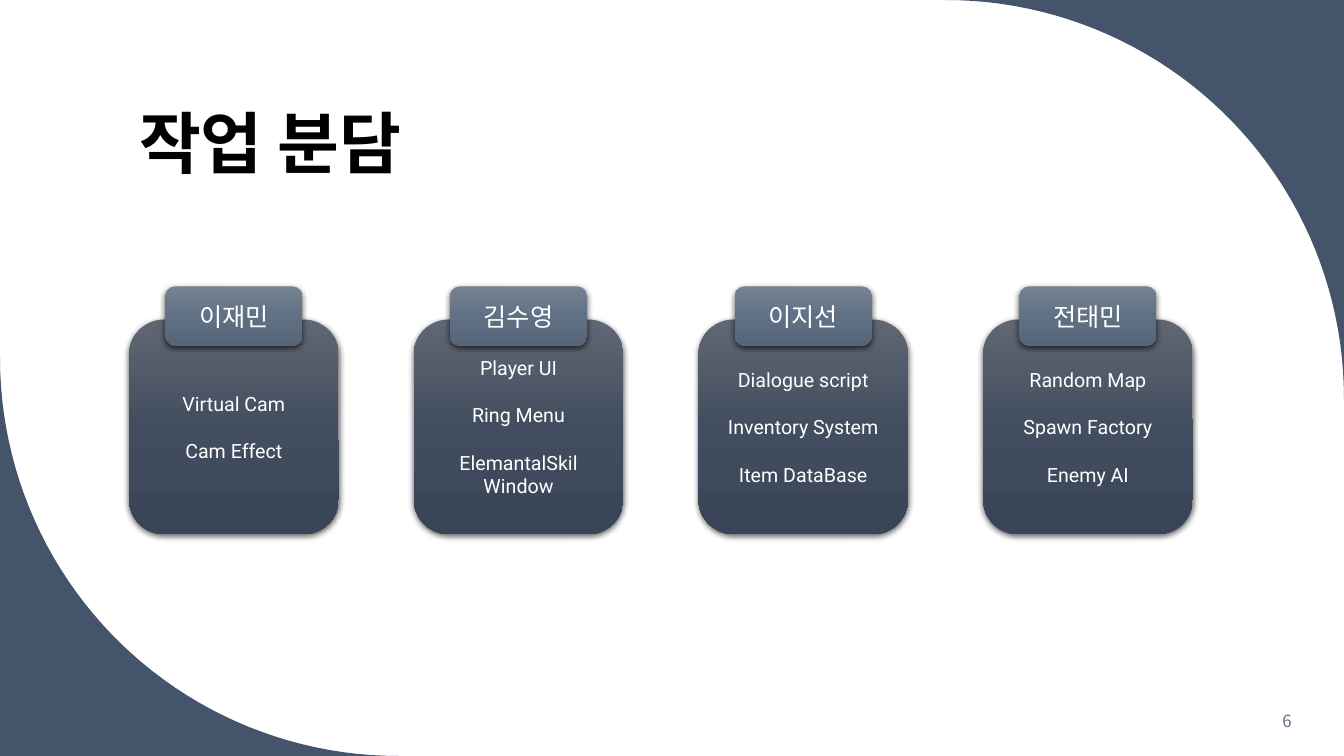
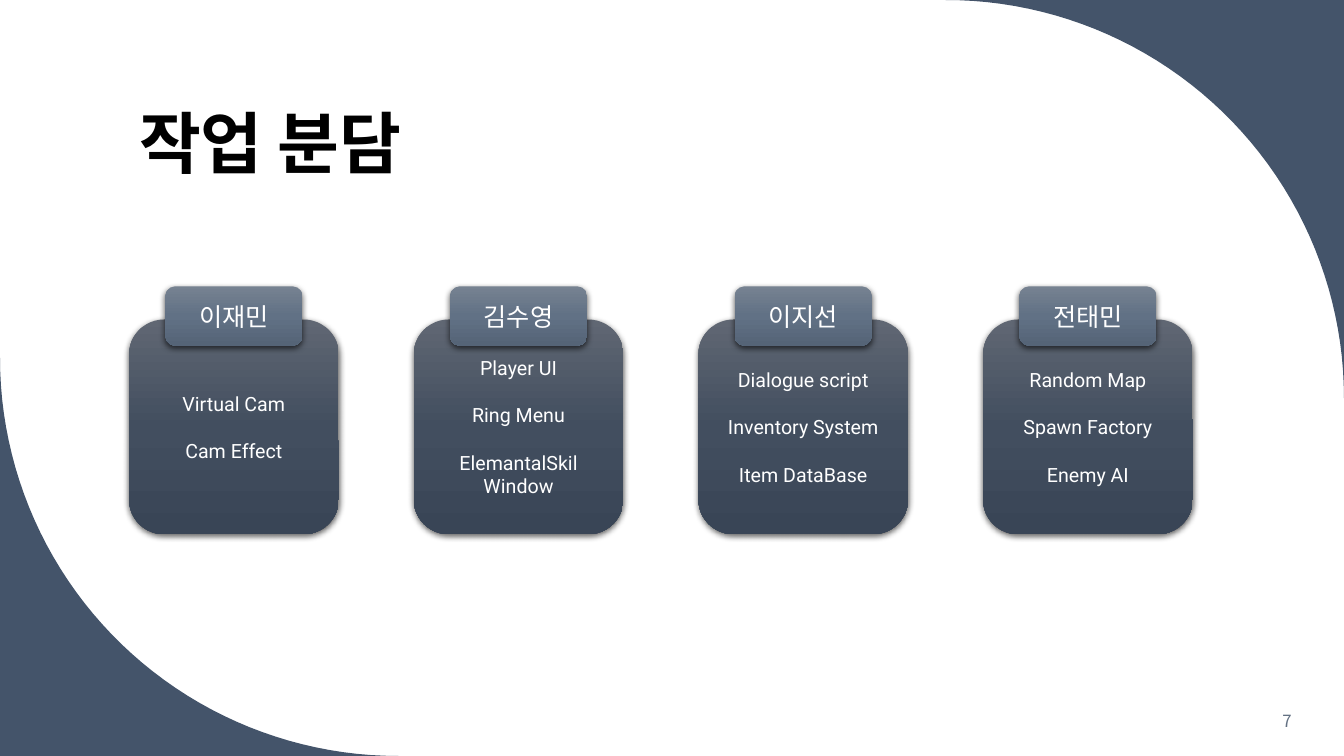
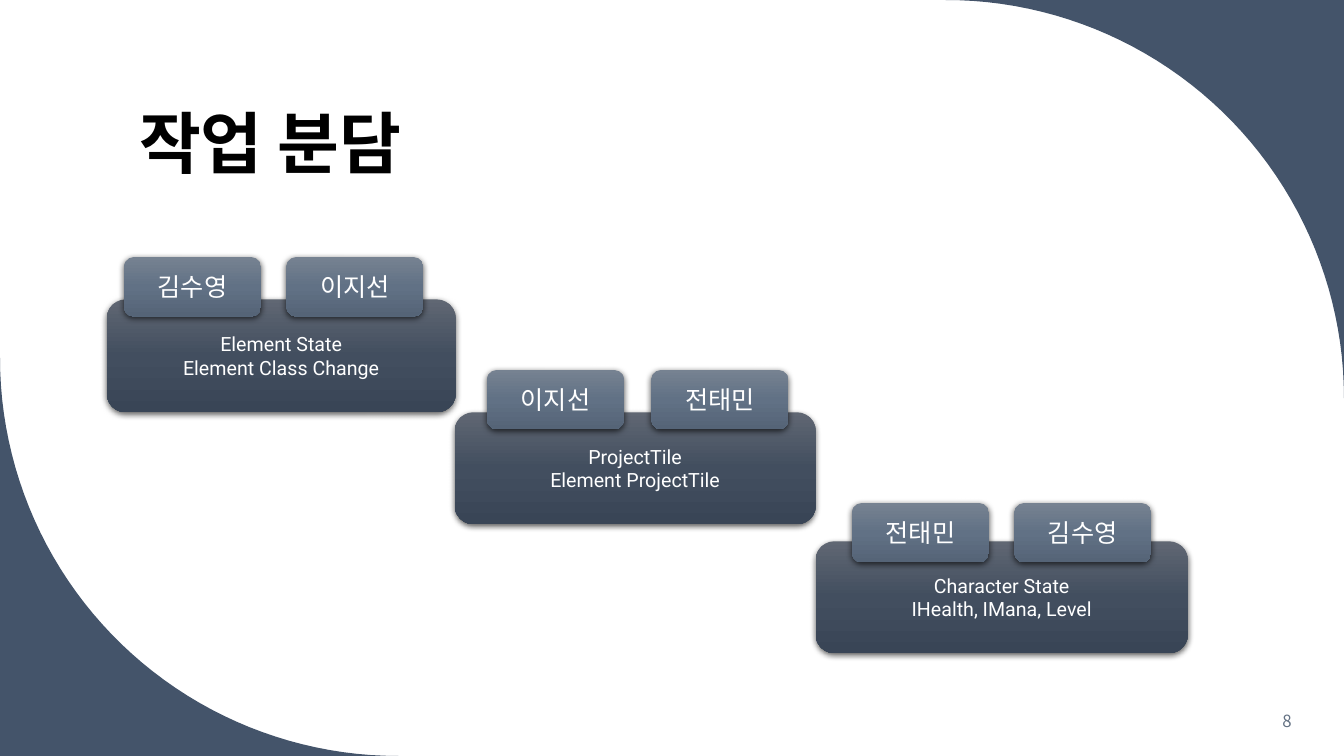
"""Build three slides that show how the work is shared within the team."""
import math

from lxml import etree
from pptx import Presentation
from pptx.dml.color import RGBColor
from pptx.enum import shapes as kinds, text as txt
from pptx.oxml.ns import qn
from pptx.util import Inches, Pt

NAVY = RGBColor(0x44, 0x54, 0x6A)
BLACK = RGBColor(0, 0, 0)
WHITE = RGBColor(0xFF, 0xFF, 0xFF)
NUMBER_GREY = RGBColor(0x63, 0x71, 0x83)
CARD_SHADES = [RGBColor.from_string(c) for c in ("606773", "424E5F", "394556")]
TAG_SHADES = [RGBColor.from_string(c) for c in ("768291", "617185", "556477")]

KOREAN_FONT = "Noto Sans CJK KR"
LATIN_FONT = "Roboto"
WIDTH, HEIGHT = 13.33, 7.5
CORNER_RADIUS = 3.95
TAG_WIDTH, TAG_HEIGHT = 1.36, 0.59
CARD_WIDTH, CARD_HEIGHT, CARD_TOP = 2.08, 2.13, 3.17
FIRST_CARD, LAST_CARD = 1.28, 9.75
FIRST_NUMBER = 6

MEMBER_TASKS = [
    ("이재민", ["Virtual Cam", "Cam Effect"]),
    ("김수영", ["Player UI", "Ring Menu", "ElemantalSkil Window"]),
    ("이지선", ["Dialogue script", "Inventory System", "Item DataBase"]),
    ("전태민", ["Random Map", "Spawn Factory", "Enemy AI"]),
]
SHARED_TASKS = [
    ((1.06, 2.97, 3.46, 1.12), 2.55, [(1.23, "김수영"), (2.84, "이지선")],
     ["Element State", "Element Class Change"]),
    ((4.51, 4.09, 3.58, 1.11), 3.67, [(4.83, "이지선"), (6.46, "전태민")],
     ["ProjectTile", "Element ProjectTile"]),
    ((8.09, 5.37, 3.69, 1.11), 4.99, [(8.45, "전태민"), (10.06, "김수영")],
     ["Character State", "IHealth, IMana, Level"]),
]


def write(shape, lines, size, color, font, align, anchor, bold=False, gap=0):
    """Fill a shape with formatted paragraphs, gap points apart."""
    frame = shape.text_frame
    frame.text = "\n".join(lines)
    frame.word_wrap = True
    frame.auto_size = txt.MSO_AUTO_SIZE.NONE
    frame.vertical_anchor = anchor
    for index, paragraph in enumerate(frame.paragraphs):
        paragraph.alignment = align
        if index and gap:
            paragraph.space_before = Pt(gap)
        for run in paragraph.runs:
            run.font.size = Pt(size)
            run.font.bold = bold
            run.font.color.rgb = color
            run.font.name = font
    for properties in shape.element.iter(qn("a:rPr")):
        etree.SubElement(properties, qn("a:ea"), typeface=KOREAN_FONT)


def add_panel(slide, box, shades, lines, size, gap=0):
    """Add a rounded panel with a vertical gradient, a soft shadow and centred text."""
    panel = slide.shapes.add_shape(
        kinds.MSO_SHAPE.ROUNDED_RECTANGLE, *(Inches(v) for v in box))
    panel.line.fill.background()
    panel.fill.gradient()
    panel.fill.gradient_angle = 270
    stops = panel.element.find(".//" + qn("a:gsLst"))
    for stop in list(stops):
        stops.remove(stop)
    for position, shade in zip((0, 50000, 100000), shades):
        stop = etree.SubElement(stops, qn("a:gs"), pos=str(position))
        etree.SubElement(stop, qn("a:srgbClr"), val=str(shade))
    panel.shadow.inherit = False
    shadow = etree.SubElement(
        panel.element.find(".//" + qn("a:effectLst")), qn("a:outerShdw"),
        blurRad=str(Pt(4.5)), dist=str(Pt(1.5)), dir="5400000",
        algn="ctr", rotWithShape="0")
    tint = etree.SubElement(shadow, qn("a:srgbClr"), val=str(BLACK))
    etree.SubElement(tint, qn("a:alpha"), val="63000")
    write(panel, lines, size, WHITE, LATIN_FONT, txt.PP_ALIGN.CENTER,
          txt.MSO_ANCHOR.MIDDLE, gap=gap)


def add_tag(slide, left, top, member):
    """Add the name tag of a team member."""
    add_panel(slide, (left, top, TAG_WIDTH, TAG_HEIGHT), TAG_SHADES, [member], 18)


def add_corner(slide, corner, center, start):
    """Draw a corner with a concave quarter arc on the layout behind the slide."""
    arc = []
    for degree in range(start, start + 91, 2):
        angle = math.radians(min(degree, start + 90))
        arc.append((Inches(center[0] + CORNER_RADIUS * math.cos(angle)),
                    Inches(center[1] + CORNER_RADIUS * math.sin(angle))))
    builder = slide.shapes.build_freeform(Inches(corner[0]), Inches(corner[1]))
    builder.add_line_segments(arc, close=True)
    outline = builder.convert_to_shape()
    outline.fill.solid()
    outline.fill.fore_color.rgb = NAVY
    outline.line.fill.background()
    outline.shadow.inherit = False
    slide.slide_layout.shapes.element.insert(2, outline.element)


def add_slide(deck, number):
    """Add a slide with the shared title and its number."""
    slide = deck.slides.add_slide(deck.slide_layouts[5])
    title = slide.shapes.title
    title.left, title.top = Inches(1.28), Inches(0.42)
    title.width, title.height = Inches(10.69), Inches(1.45)
    write(title, ["작업 분담"], 48, BLACK, KOREAN_FONT, txt.PP_ALIGN.LEFT,
          txt.MSO_ANCHOR.BOTTOM, bold=True)
    title.text_frame.paragraphs[0].line_spacing = 0.9
    page = slide.shapes.add_textbox(
        Inches(11.1), Inches(6.95), Inches(1.81), Inches(0.4))
    write(page, [str(number)], 12, NUMBER_GREY, KOREAN_FONT,
          txt.PP_ALIGN.RIGHT, txt.MSO_ANCHOR.MIDDLE)
    return slide


def add_member_cards(slide):
    """Add one card of tasks for each member, evenly spaced."""
    pitch = (LAST_CARD - FIRST_CARD) / (len(MEMBER_TASKS) - 1)
    for index, (member, tasks) in enumerate(MEMBER_TASKS):
        left = FIRST_CARD + index * pitch
        add_panel(slide, (left, CARD_TOP, CARD_WIDTH, CARD_HEIGHT),
                  CARD_SHADES, tasks, 14, gap=17)
        add_tag(slide, left + (CARD_WIDTH - TAG_WIDTH) / 2, 2.84, member)


def add_shared_cards(slide):
    """Add the descending cards of tasks that two members share."""
    for box, tag_top, members, tasks in SHARED_TASKS:
        add_panel(slide, box, CARD_SHADES, tasks, 14)
        for left, member in members:
            add_tag(slide, left, tag_top, member)


def main():
    """Build and save the deck."""
    deck = Presentation()
    deck.slide_width, deck.slide_height = Inches(WIDTH), Inches(HEIGHT)
    fillers = (add_member_cards, add_member_cards, add_shared_cards)
    for number, fill_slide in enumerate(fillers, FIRST_NUMBER):
        fill_slide(add_slide(deck, number))
    first = deck.slides[0]
    near, far = CORNER_RADIUS, HEIGHT - CORNER_RADIUS
    add_corner(first, (WIDTH, 0), (WIDTH - near, near), -90)
    add_corner(first, (0, HEIGHT), (near, far), 90)
    deck.save("out.pptx")


main()
